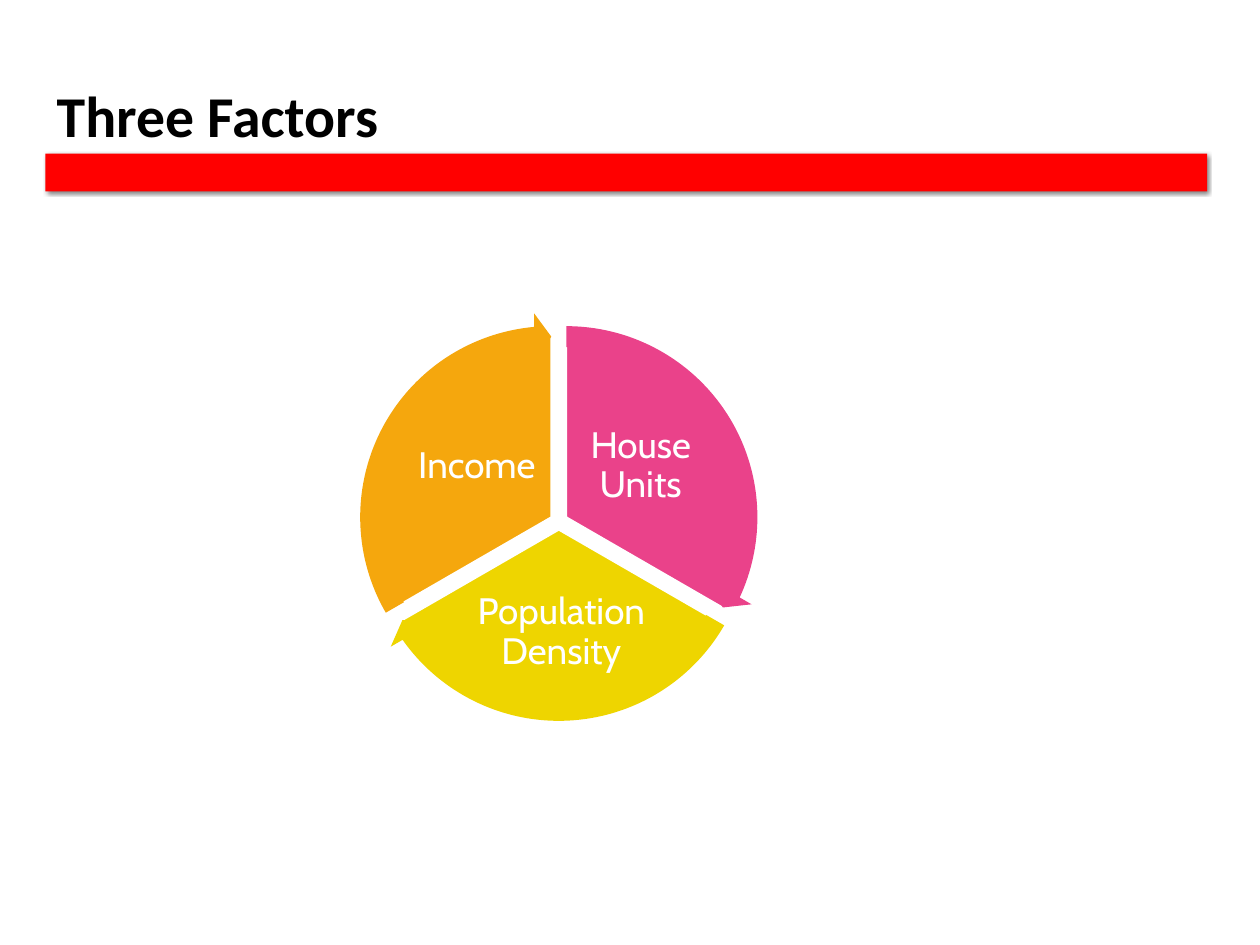
from lxml.etree import SubElement
from pptx import Presentation
from pptx.dml.color import RGBColor
from pptx.enum.shapes import MSO_SHAPE
from pptx.enum.text import MSO_ANCHOR, PP_ALIGN
from pptx.oxml.ns import qn
from pptx.util import Inches, Pt

COLORS = {
    "black": "000000",
    "white": "FFFFFF",
    "red": "FF0000",
    "pink": "EA428A",
    "yellow": "EED500",
    "orange": "F5A70D",
}
PIE_SIZE = 2.89
ARROW_SIZE = 3.25
ARROW_OFFSET = (ARROW_SIZE - PIE_SIZE) / 2

FACTORS = [
    ("House Units", "pink", (3.05, 2.66), (162, 18), (14.725, 161.994), (4.57, 3.27, 1.03, 0.86)),
    ("Population Density", "yellow", (2.99, 2.76), (18, 90), (86.72, 18.005), (3.68, 4.64, 1.55, 0.76)),
    ("Income", "orange", (2.93, 2.66), (90, 162), (158.73, 90), (3.27, 3.27, 1.03, 0.86)),
]


class SlideBuilder:
    title_font = "Calibri"
    label_font = "Cabin"

    def __init__(self, prs):
        self.slide = prs.slides.add_slide(prs.slide_layouts[5])
        self.cycle = self.slide.shapes.add_group_shape()

    def color(self, name):
        return RGBColor.from_string(COLORS[name])

    def style(self, p, font, size, color, spacing, align, bold=False):
        p.alignment = align
        p.line_spacing = spacing
        p.font.name = font
        p.font.size = Pt(size)
        p.font.bold = bold
        p.font.color.rgb = self.color(color)

    def title(self, text, box):
        sp = self.slide.shapes.title
        sp.left, sp.top, sp.width, sp.height = map(Inches, box)
        tf = sp.text_frame
        tf.text = text
        tf.vertical_anchor = MSO_ANCHOR.BOTTOM
        self.style(tf.paragraphs[0], self.title_font, 33, "black", 0.8, PP_ALIGN.LEFT, True)

    def shape(self, shapes, kind, box, fill, adjustments=(), line=None):
        sp = shapes.add_shape(kind, *map(Inches, box))
        sp.shadow.inherit = False
        for i, value in enumerate(adjustments):
            sp.adjustments[i] = value
        sp.fill.solid()
        sp.fill.fore_color.rgb = self.color(fill)
        if line:
            sp.line.color.rgb = self.color(line)
            sp.line.width = Pt(1)
        else:
            sp.line.fill.background()
        return sp

    def wedge(self, corner, angles, fill):
        box = (*corner, PIE_SIZE, PIE_SIZE)
        self.shape(self.cycle.shapes, MSO_SHAPE.PIE, box, fill, angles, "white")

    def arrow(self, corner, angles, fill):
        left, top = (value - ARROW_OFFSET for value in corner)
        box = (left, top, ARROW_SIZE, ARROW_SIZE)
        adjustments = (0.051, 3.275, *angles, 0.059)
        self.shape(self.cycle.shapes, MSO_SHAPE.CIRCULAR_ARROW, box, fill, adjustments)

    def label(self, text, box):
        tf = self.cycle.shapes.add_textbox(*map(Inches, box)).text_frame
        tf.word_wrap = True
        tf.vertical_anchor = MSO_ANCHOR.MIDDLE
        tf.margin_left = tf.margin_right = tf.margin_top = tf.margin_bottom = Inches(0.03)
        tf.text = text
        self.style(tf.paragraphs[0], self.label_font, 21, "white", 0.9, PP_ALIGN.CENTER)

    def bar(self, box, fill):
        sp = self.shape(self.slide.shapes, MSO_SHAPE.RECTANGLE, box, fill)
        effects = sp._element.spPr.find(qn("a:effectLst"))
        shadow = SubElement(effects, qn("a:outerShdw"), blurRad=str(Pt(2)),
                            dist=str(Pt(1)), dir="2700000", algn="tl", rotWithShape="0")
        color = SubElement(shadow, qn("a:srgbClr"), val=COLORS["black"])
        SubElement(color, qn("a:alpha"), val="50000")


def main():
    prs = Presentation()
    prs.slide_width, prs.slide_height = Inches(10), Inches(7.5)
    s = SlideBuilder(prs)
    s.title("Three Factors", (0.35, 0.35, 7.69, 0.88))
    for text, fill, corner, pie_angles, _, label_box in FACTORS:
        s.wedge(corner, pie_angles, fill)
        s.label(text, label_box)
    for _, fill, corner, _, arrow_angles, _ in FACTORS:
        s.arrow(corner, arrow_angles, fill)
    s.bar((0.36, 1.22, 9.22, 0.3), "red")
    prs.save("out.pptx")


if __name__ == "__main__":
    main()
